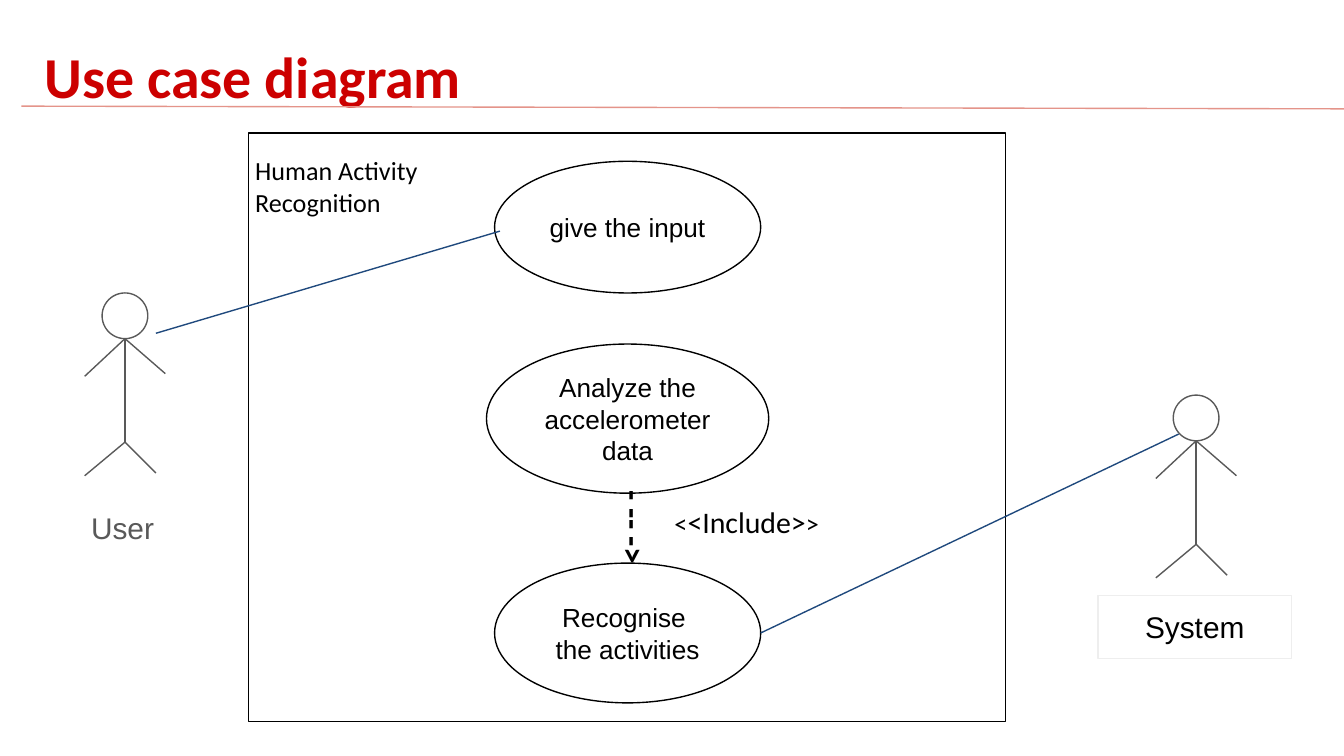
"""Build the use case diagram slide for human activity recognition."""
from lxml.etree import SubElement
from pptx import Presentation
from pptx.dml.color import RGBColor
from pptx.enum.shapes import MSO_CONNECTOR, MSO_SHAPE
from pptx.enum.text import MSO_ANCHOR, MSO_AUTO_SIZE, PP_ALIGN
from pptx.oxml.ns import qn
from pptx.util import Inches, Pt

COLORS = {
    "paper": "FFFFFF",
    "ink": "000000",
    "figure": "595959",
    "title": "CC0000",
    "rule": "E4948A",
    "association": "1F497D",
    "pale": "EEEEEE",
}
COLUMNS, ROWS = 100, 56.25
CELL = Inches(0.1)
LIMBS = [
    ((0, 0), (0, 7.7)),
    ((0, 0), (-3, 2.8)),
    ((0, 0), (3, 2.6)),
    ((0, 7.7), (-3, 10.2)),
    ((0, 7.7), (2.3, 10)),
]
USE_CASES = [
    ("give the input", 12, 19.8, 9.8),
    ("Analyze the accelerometer data", 25.6, 21, 11.1),
    ("Recognise \vthe activities", 41.9, 19.8, 10.4),
]
CASE_CENTER = 46.7


def rgb(name):
    return RGBColor.from_string(COLORS[name])


def cells(*counts):
    return [round(count * CELL) for count in counts]


def style_run(run, size, font, color, bold=False):
    run.font.size = Pt(size)
    run.font.name = font
    run.font.bold = bold
    run.font.color.rgb = rgb(color)


def write(frame, text, size, font="Arial", color="ink", align=PP_ALIGN.LEFT,
          anchor=MSO_ANCHOR.TOP, bold=False):
    frame.text = text
    frame.word_wrap = True
    frame.auto_size = MSO_AUTO_SIZE.NONE
    frame.vertical_anchor = anchor
    frame.margin_left = frame.margin_right = CELL
    frame.margin_top = frame.margin_bottom = CELL
    paragraph = frame.paragraphs[0]
    paragraph.alignment = align
    for run in paragraph.runs:
        style_run(run, size, font, color, bold)
    return paragraph


def add_outline(slide, kind, box, color="ink"):
    outline = slide.shapes.add_shape(kind, *cells(*box))
    outline.shadow.inherit = False
    outline.fill.solid()
    outline.fill.fore_color.rgb = rgb("paper")
    outline.line.color.rgb = rgb(color)
    outline.line.width = Pt(0.75)
    return outline


def add_line(slide, start, end, color):
    line = slide.shapes.add_connector(MSO_CONNECTOR.STRAIGHT, *cells(*start, *end))
    line.line.color.rgb = rgb(color)
    line.line.width = Pt(0.75)
    SubElement(line._element.spPr, qn("a:effectLst"))


def add_label(slide, box, text, size, **style):
    label = slide.shapes.add_textbox(*cells(*box))
    write(label.text_frame, text, size, **style)
    return label


def add_actor(slide, neck_x, neck_y):
    add_outline(slide, MSO_SHAPE.OVAL, (neck_x - 1.7, neck_y - 3.4, 3.4, 3.4), "figure")
    for (x1, y1), (x2, y2) in LIMBS:
        add_line(slide, (neck_x + x1, neck_y + y1), (neck_x + x2, neck_y + y2), "figure")


def add_use_case(slide, text, top, width, height):
    box = (CASE_CENTER - width / 2, top, width, height)
    use_case = add_outline(slide, MSO_SHAPE.OVAL, box)
    write(use_case.text_frame, text, 14, align=PP_ALIGN.CENTER, anchor=MSO_ANCHOR.MIDDLE)


def add_title(slide):
    title = slide.shapes.title
    title.left, title.top, title.width, title.height = cells(2.3, 1, 43.5, 7.2)
    heading = write(title.text_frame, "Use case diagram", 31, font="Calibri",
                    color="title", bold=True)
    heading.line_spacing = 1.2
    add_line(slide, (1.6, 7.9), (COLUMNS, 8.1), "rule")


def add_include(slide):
    arrow = add_label(slide, (38.6, 41.7, 17.3, 5), "- -- ->", 18, font="Calibri", bold=True)
    arrow.rotation = 90
    include = add_label(slide, (49.2, 36.5, 13.6, 2.8), "<", 14, font="Calibri")
    for text, size in (("<Include>", 16), (">", 14)):
        run = include.text_frame.paragraphs[0].add_run()
        run.text = text
        style_run(run, size, "Calibri", "ink")


def main():
    deck = Presentation()
    deck.slide_width, deck.slide_height = cells(COLUMNS, ROWS)
    slide = deck.slides.add_slide(deck.slide_layouts[5])

    add_outline(slide, MSO_SHAPE.RECTANGLE, (18.5, 9.9, 56.3, 43.8))
    add_actor(slide, 9.3, 25.2)
    add_actor(slide, 89, 32.8)
    for use_case in USE_CASES:
        add_use_case(slide, *use_case)

    add_label(slide, (5.8, 36.9, 7, 2.2), "User", 16, color="figure")
    system = add_outline(slide, MSO_SHAPE.RECTANGLE, (81.7, 44.3, 14.4, 4.7), "pale")
    write(system.text_frame, "System", 16, align=PP_ALIGN.CENTER)

    add_title(slide)
    add_label(slide, (18, 10.5, 23.6, 6.7), "Human Activity Recognition", 14, font="Calibri")
    add_include(slide)
    add_line(slide, (11.6, 24.8), (37.2, 17.2), "association")
    add_line(slide, (87.7, 32.3), (56.6, 47.1), "association")
    deck.save("out.pptx")


if __name__ == "__main__":
    main()
